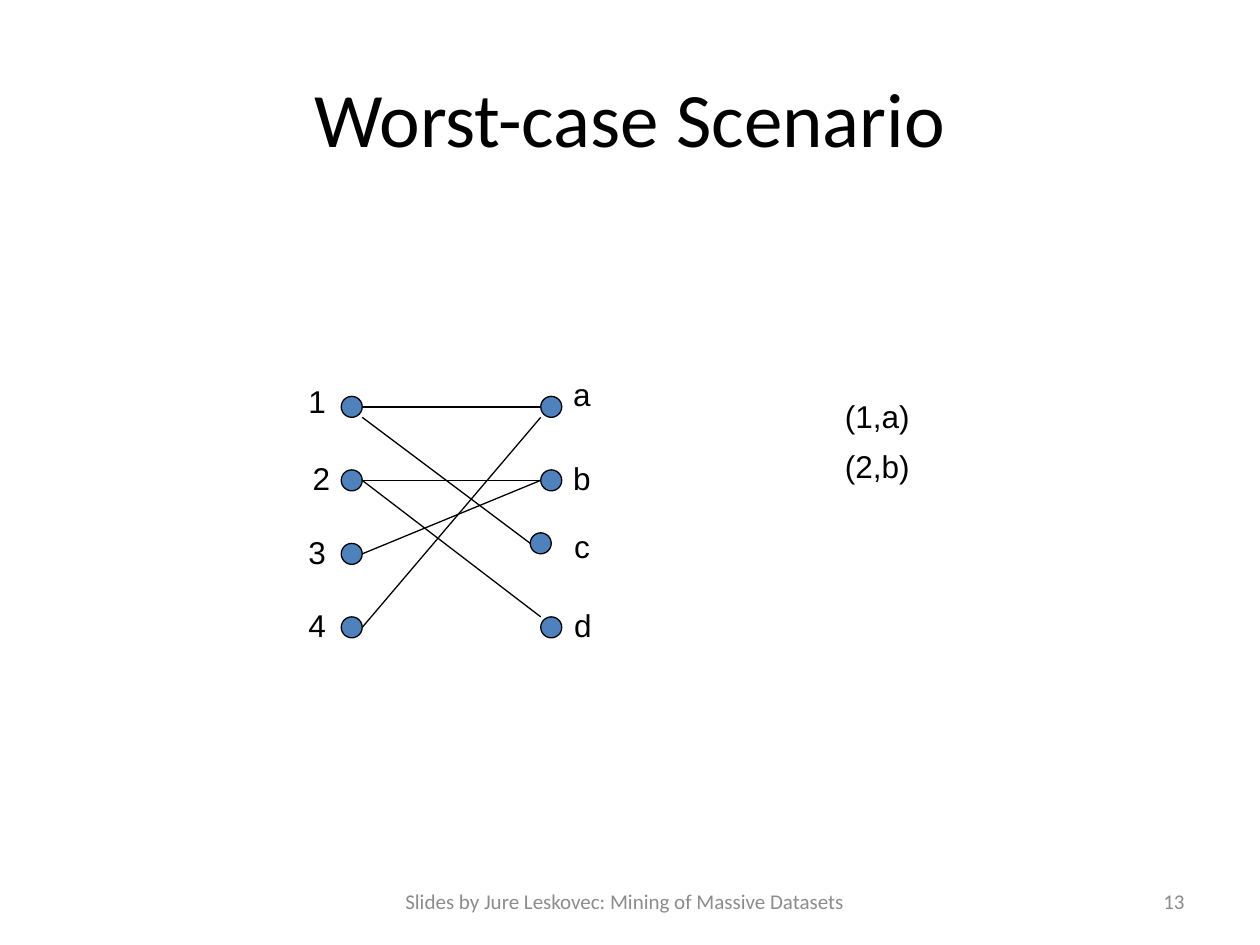
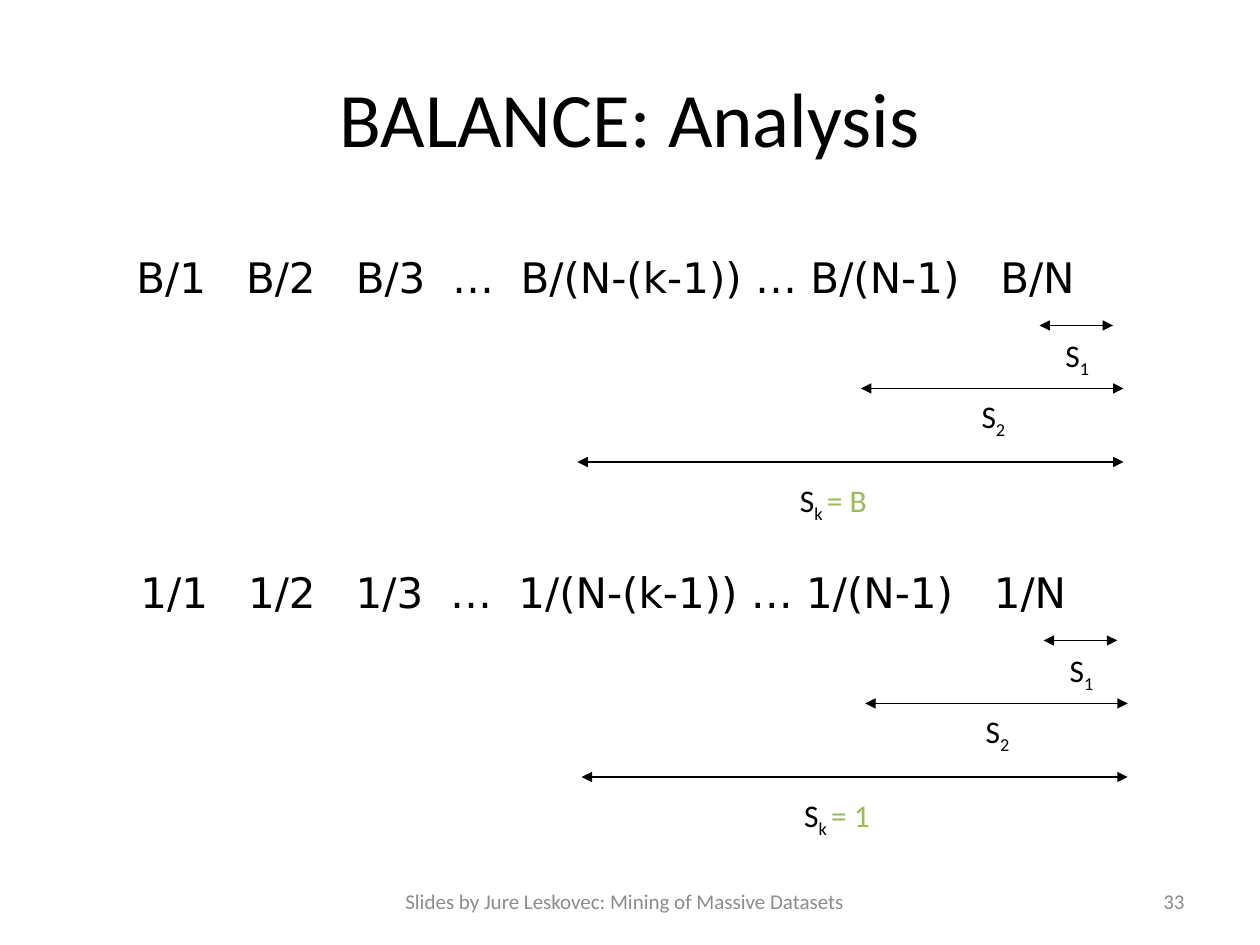
from lxml import etree
from pptx import Presentation
from pptx import util as u
from pptx.dml import color
from pptx.enum import shapes, text
from pptx.oxml import ns

CELL = u.Inches(1) // 12
COLUMNS, ROWS = 120, 90
BLACK, GREY, BLUE, GREEN = "000000", "8C8C8C", "4F81BD", "9BBB59"
HEADING_FONT, LABEL_FONT, TERM_FONT = "Calibri", "Arial", "DejaVu Sans"
FOOTER = "Slides by Jure Leskovec: Mining of Massive Datasets"
ALIGN = text.PP_ALIGN


def cells(*counts):
    """Convert grid counts to slide lengths."""
    return [round(count * CELL) for count in counts]


def rgb(code):
    """Return the colour for a hex string."""
    return color.RGBColor.from_string(code)


def add_child(parent, tag, **attributes):
    """Append a drawing element and return it."""
    return etree.SubElement(parent, ns.qn(tag), attributes)


def style_span(span, size, font, ink):
    """Set the size, font and colour of a run."""
    span.font.size = u.Pt(size)
    span.font.name = font
    span.font.color.rgb = rgb(ink)


def add_text(page, box, words, size, font, ink=BLACK, align=ALIGN.LEFT, wrap=False):
    """Write one paragraph in a box and return it."""
    frame = page.shapes.add_textbox(*cells(*box)).text_frame
    frame.word_wrap = wrap
    if wrap:
        frame.vertical_anchor = text.MSO_ANCHOR.MIDDLE
    else:
        frame.auto_size = text.MSO_AUTO_SIZE.SHAPE_TO_FIT_TEXT
    para = frame.paragraphs[0]
    para.text = words
    para.alignment = align
    style_span(para.runs[0], size, font, ink)
    return para


def add_line(page, start, end, arrows=False):
    """Draw a thin line, with arrowheads at both ends if asked."""
    line = page.shapes.add_connector(
        shapes.MSO_CONNECTOR.STRAIGHT, *cells(*start, *end))
    line.line.color.rgb = rgb(BLACK)
    line.line.width = u.Pt(0.75)
    if arrows:
        for tag in ("a:headEnd", "a:tailEnd"):
            add_child(line.line._get_or_add_ln(), tag, type="triangle")
    add_child(line._element.spPr, "a:effectLst")


def add_page(deck, title, number):
    """Add a slide with its title, footer and number."""
    page = deck.slides.add_slide(deck.slide_layouts[6])
    add_text(page, (6, 3.6, 108, 15), title, 44, HEADING_FONT,
             align=ALIGN.CENTER, wrap=True)
    add_text(page, (34, 83.4, 51, 4.8), FOOTER, 12, HEADING_FONT, GREY,
             ALIGN.CENTER, True)
    add_text(page, (86, 83.4, 28, 4.8), number, 12, HEADING_FONT, GREY,
             ALIGN.RIGHT, True)
    return page


def add_matching(page, left, top):
    """Draw the bipartite graph with its top left node at the given cell."""
    step, side = 7, 2
    nodes = [(column, row * step) for column in (0, 19) for row in range(4)]
    nodes[6] = (18, 13)
    for x, y in nodes:
        node = page.shapes.add_shape(
            shapes.MSO_SHAPE.OVAL, *cells(left + x, top + y, side, side))
        node.shadow.inherit = False
        node.fill.solid()
        node.fill.fore_color.rgb = rgb(BLUE)
        node.line.color.rgb = rgb(BLACK)
        node.line.width = u.Pt(0.75)
    edges = [(1, 19, 1), (22, 19, 2), (8, 19, 8),
             (15, 19, 8), (2, 18, 14), (8, 19, 21)]
    for start_y, end_x, end_y in edges:
        add_line(page, (left + side, top + start_y), (left + end_x, top + end_y))
    labels = [("1", -4.3, -2), ("2", -3.9, 5.4), ("3", -4.3, 12.4),
              ("4", -4.3, 19.4), ("a", 20.9, -2.6), ("b", 20.9, 5.4),
              ("c", 21, 11.9), ("d", 21, 19.4)]
    for name, x, y in labels:
        add_text(page, (left + x, top + y, 4.1, 4.8), name, 18, LABEL_FONT)


def add_pairs(page, left, top, pairs):
    """List the matched pairs below each other."""
    for row, pair in enumerate(pairs):
        add_text(page, (left, top + row * 4.75, 8.6, 4.8), pair, 18, LABEL_FONT)


def add_series(page, left, top, numerator, stops):
    """Write a row of terms and the spans of its sums below it."""
    terms = "{0}/1\t{0}/2\t{0}/3\t…\t{0}/(N-(k-1)) … {0}/(N-1)\t{0}/N"
    para = add_text(page, (left, top, 98.5, 6), terms.format(numerator), 24, TERM_FONT)
    tabs = add_child(para._p.get_or_add_pPr(), "a:tabLst")
    for stop in cells(*stops):
        add_child(tabs, "a:tab", pos=str(stop), algn="l")
    sums = [("1", "", 87.2, 94.2, 7.6, 88.5, 8),
            ("2", "", 70.2, 95.2, 13.6, 80.5, 13.8),
            ("k ", f"= {numerator}", 43.2, 95.2, 20.6, 63.2, 21.8)]
    for index, result, start, end, y, label_x, label_y in sums:
        add_line(page, (left + start, top + y), (left + end, top + y), True)
        width = 10 if result else 5.8
        label = add_text(page, (left + label_x, top + label_y, width, 4.8),
                         "S", 18, HEADING_FONT)
        span = label.add_run()
        span.text = index
        style_span(span, 18, HEADING_FONT, BLACK)
        span.font._element.set("baseline", "-25000")
        if result:
            span = label.add_run()
            span.text = result
            style_span(span, 18, HEADING_FONT, GREEN)


def main():
    """Build and save the deck."""
    deck = Presentation()
    deck.slide_width, deck.slide_height = cells(COLUMNS, ROWS)
    page = add_page(deck, "Worst-case Scenario", "13")
    add_matching(page, 32.5, 37.75)
    add_pairs(page, 79.3, 37.2, ("(1,a)", "(2,b)"))
    page = add_page(deck, "BALANCE: Analysis", "33")
    add_series(page, 11.8, 23.4, "B", (10.45, 20.9, 30.08, 36.6, 82.28))
    add_series(page, 12.2, 53.4, "1", (10.25, 20.5, 29.48, 36, 81.28))
    deck.save("out.pptx")


if __name__ == "__main__":
    main()
